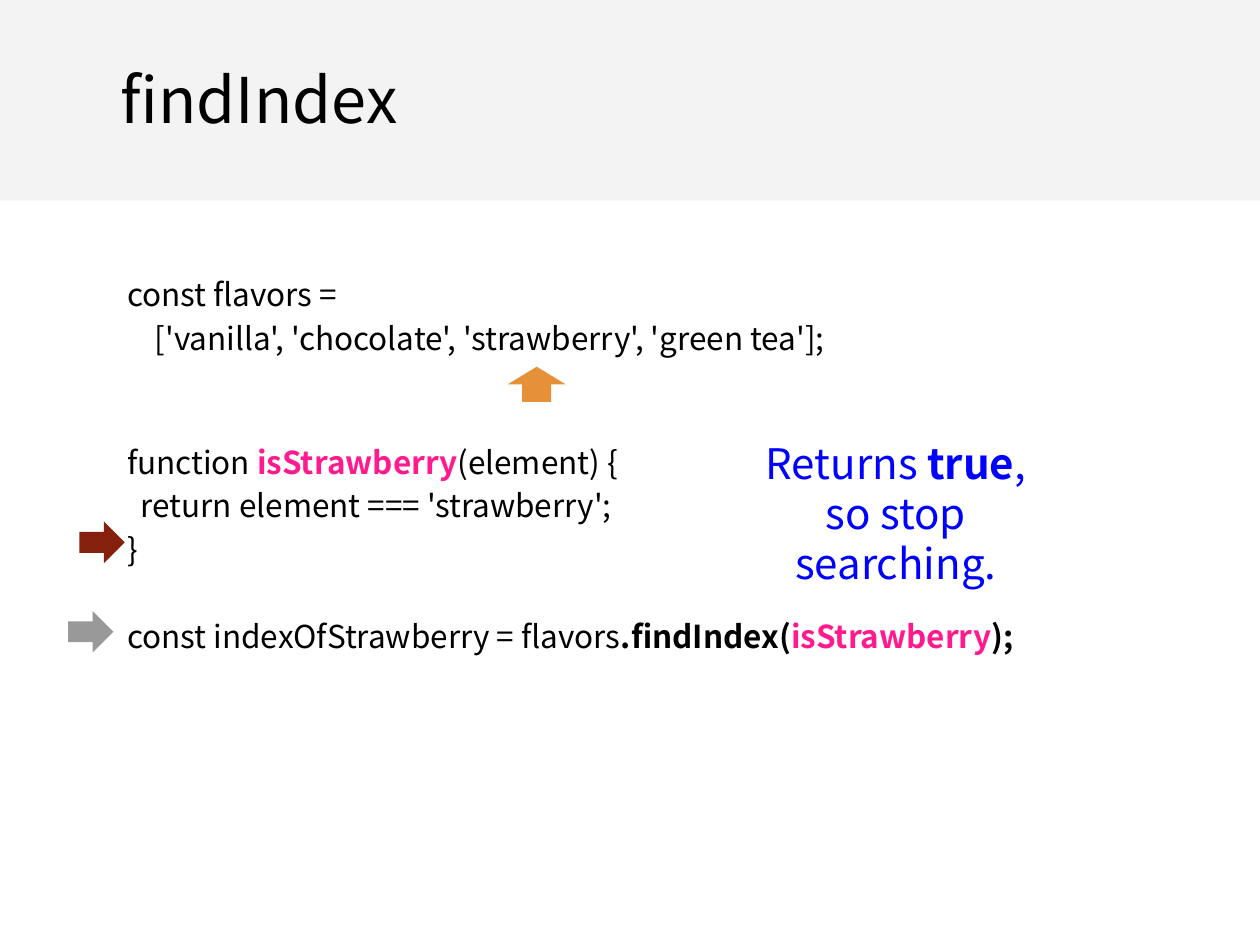
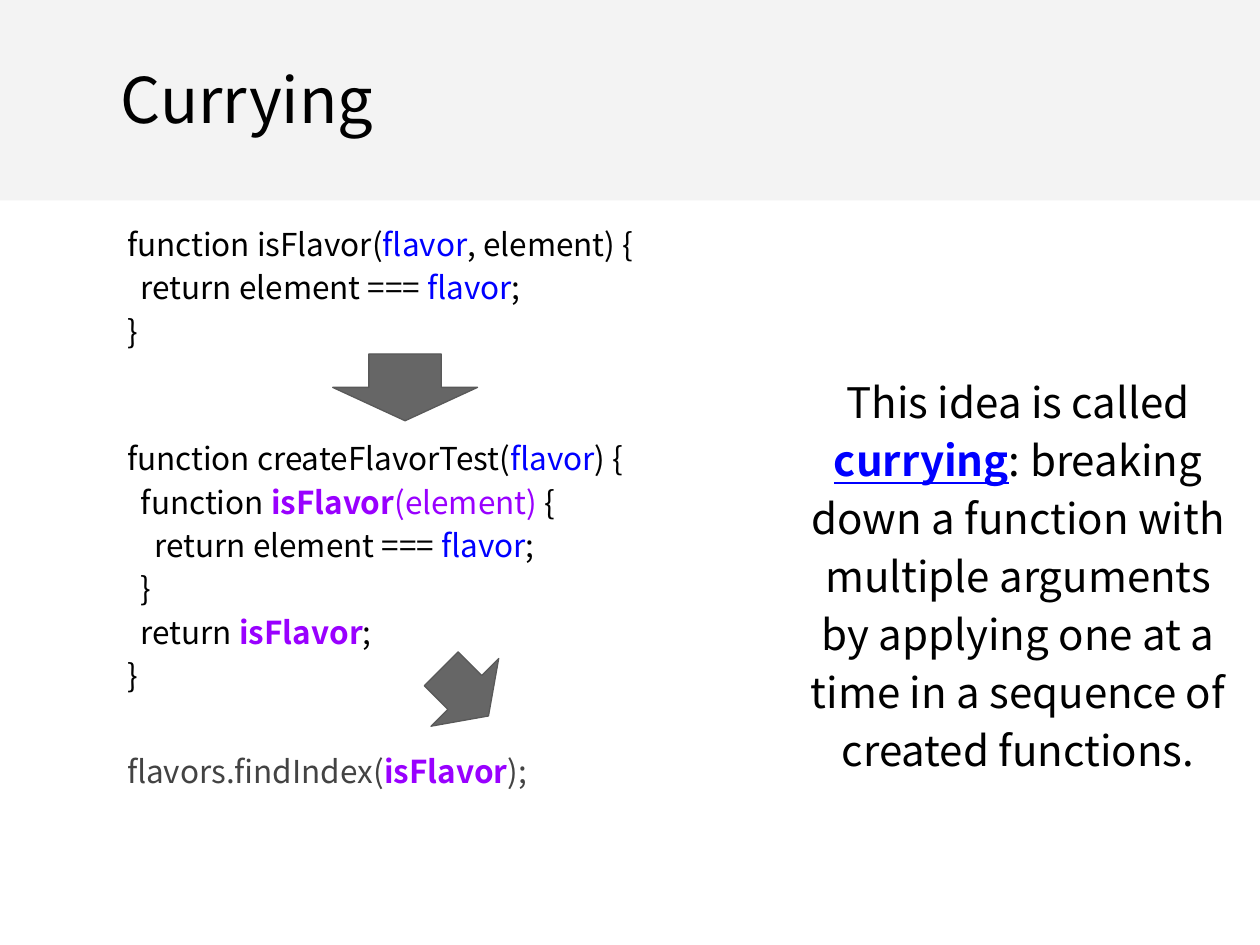
from dataclasses import dataclass

from pptx import Presentation
from pptx.dml.color import RGBColor
from pptx.enum.shapes import MSO_SHAPE
from pptx.enum.text import MSO_ANCHOR, PP_ALIGN
from pptx.util import Inches, Pt

RECTANGLE = MSO_SHAPE.RECTANGLE
RIGHT_ARROW = MSO_SHAPE.RIGHT_ARROW
DOWN_ARROW = MSO_SHAPE.DOWN_ARROW
TOP, MIDDLE = MSO_ANCHOR.TOP, MSO_ANCHOR.MIDDLE
LEFT, CENTER = PP_ALIGN.LEFT, PP_ALIGN.CENTER

FONT = "Noto Sans CJK SC"
COLUMNS, ROWS = 100, 75
WIDTH, HEIGHT = Inches(10), Inches(7.5)
BAND_ROWS = 15.9
CODE_LEFT = 9.1
CODE_WIDTH = 82.9
CODE_SIZE = 18
LINE_SPACING = 1.15
CODE_LINE = CODE_SIZE * 1.2 * LINE_SPACING
INDENT = Inches(0.11)
INSET = Inches(0.1)

BLACK = "000000"
BAND_GRAY = "F3F3F3"
PINK = "FF1B8E"
BLUE = "0000FF"
PURPLE = "9900FF"
CALL_GRAY = "434343"
ARROW_GRAY = "666666"
ARROW_EDGE = "595959"


@dataclass
class Box:
    left: float
    top: float
    width: float
    height: float

    def area(self, left, top, width, height):
        return Box(self.left + left, self.top + top, width, height)

    def lengths(self):
        column, row = WIDTH / COLUMNS, HEIGHT / ROWS
        return (round(self.left * column), round(self.top * row),
                round(self.width * column), round(self.height * row))


def color(value):
    return RGBColor.from_string(value)


def add_figure(page, box, kind, fill, edge=None, rotation=0):
    figure = page.shapes.add_shape(kind, *box.lengths())
    figure.shadow.inherit = False
    figure.rotation = rotation
    figure.fill.solid()
    figure.fill.fore_color.rgb = color(fill)
    if edge:
        figure.line.color.rgb = color(edge)
        figure.line.width = Pt(0.75)
    else:
        figure.line.fill.background()


def add_span(para, text, size=CODE_SIZE, tint=BLACK, bold=False, underline=False):
    span = para.add_run()
    span.text = text
    span.font.name = FONT
    span.font.size = Pt(size)
    span.font.color.rgb = color(tint)
    span.font.bold = bold
    span.font.underline = underline


def add_text(page, box, lines, size=CODE_SIZE, tint=BLACK, align=LEFT,
             anchor=TOP, spacing=LINE_SPACING):
    frame = page.shapes.add_textbox(*box.lengths()).text_frame
    frame.word_wrap = True
    frame.vertical_anchor = anchor
    frame.margin_left = frame.margin_right = INSET
    frame.margin_top = frame.margin_bottom = INSET
    for number, (level, before, spans) in enumerate(lines):
        para = frame.paragraphs[0] if number == 0 else frame.add_paragraph()
        para.alignment = align
        para.line_spacing = spacing
        para.space_before = Pt(before)
        properties = para._p.get_or_add_pPr()
        properties.set("marL", str(level * INDENT))
        properties.set("indent", "0")
        for text, style in spans:
            add_span(para, text, **{"size": size, "tint": tint, **style})


def line(*pieces, level=0, before=0):
    spans = [(piece, {}) if isinstance(piece, str) else piece for piece in pieces]
    return level, before, spans


def mark(text, tint=BLACK, bold=True, underline=False):
    return text, {"tint": tint, "bold": bold, "underline": underline}


def start_page(deck, title):
    page = deck.slides.add_slide(deck.slide_layouts[6])
    band = Box(0, 0, COLUMNS, BAND_ROWS)
    add_figure(page, band, RECTANGLE, BAND_GRAY)
    add_text(page, band.area(8.6, 3.8, CODE_WIDTH, 8.3), [line(title)],
             size=36, spacing=1)
    return page, Box(0, BAND_ROWS, COLUMNS, ROWS - BAND_ROWS)


def place_search(page, body):
    predicate = mark("isStrawberry", PINK)
    add_text(page, body.area(CODE_LEFT, 4.5, CODE_WIDTH, 9.4), [
        line("const flavors ="),
        line("['vanilla', 'chocolate', 'strawberry', 'green tea'];", level=2),
    ])
    add_text(page, body.area(CODE_LEFT, 17.8, CODE_WIDTH, 20), [
        line("function ", predicate, "(element) {"),
        line("return element === 'strawberry';", level=1),
        line("}"),
        line("const indexOfStrawberry = flavors", mark(".findIndex("),
             predicate, mark(");"), before=CODE_LINE),
    ])
    for left, top, fill in ((5.4, 32.6, "999999"), (6.3, 25.5, "85200C")):
        add_figure(page, body.area(left, top, 3.6, 3.3), RIGHT_ARROW, fill)
    add_text(page, body.area(58.4, 17.8, 25.4, 9.4),
             [line("Returns ", mark("true", BLUE), ", so stop searching.")],
             size=24, tint=BLUE, align=CENTER, spacing=1)
    add_figure(page, body.area(41.2, 12.3, 2.8, 4.6), RIGHT_ARROW, "E69138",
               rotation=270)


def place_currying(page, body):
    flavor = mark("flavor", BLUE, bold=False)
    inner = mark("isFlavor", PURPLE)
    add_text(page, body.area(CODE_LEFT, 0.5, 55.2, 12.1), [
        line("function isFlavor(", flavor, ", element) {"),
        line("return element === ", flavor, ";", level=1),
        line("}"),
    ])
    add_text(page, body.area(CODE_LEFT, 17.5, CODE_WIDTH, 24.6), [
        line("function createFlavorTest(", flavor, ") {"),
        line("function ", inner, mark("(element)", PURPLE, bold=False), " {", level=1),
        line("return element === ", flavor, ";", level=2),
        line("}", level=1),
        line("return ", inner, ";", level=1),
        line("}"),
    ])
    add_text(page, body.area(62.5, 12.4, 36.6, 34.9), [
        line("This idea is called ", mark("currying", BLUE, underline=True),
             ": breaking down a function with multiple arguments by applying "
             "one at a time in a sequence of created functions."),
    ], size=24, align=CENTER)
    add_text(page, body.area(CODE_LEFT, 40.5, 40.5, 9.1),
             [line("flavors.findIndex(", inner, ");")],
             tint=CALL_GRAY, anchor=MIDDLE)
    for left, top, width, rotation in ((26.4, 12.2, 11.5, 0), (33.1, 36.4, 7.6, 315)):
        add_figure(page, body.area(left, top, width, 5.3), DOWN_ARROW,
                   ARROW_GRAY, edge=ARROW_EDGE, rotation=rotation)


def main():
    deck = Presentation()
    deck.slide_width, deck.slide_height = WIDTH, HEIGHT
    for title, place_body in (("findIndex", place_search), ("Currying", place_currying)):
        place_body(*start_page(deck, title))
    deck.save("out.pptx")


if __name__ == "__main__":
    main()
